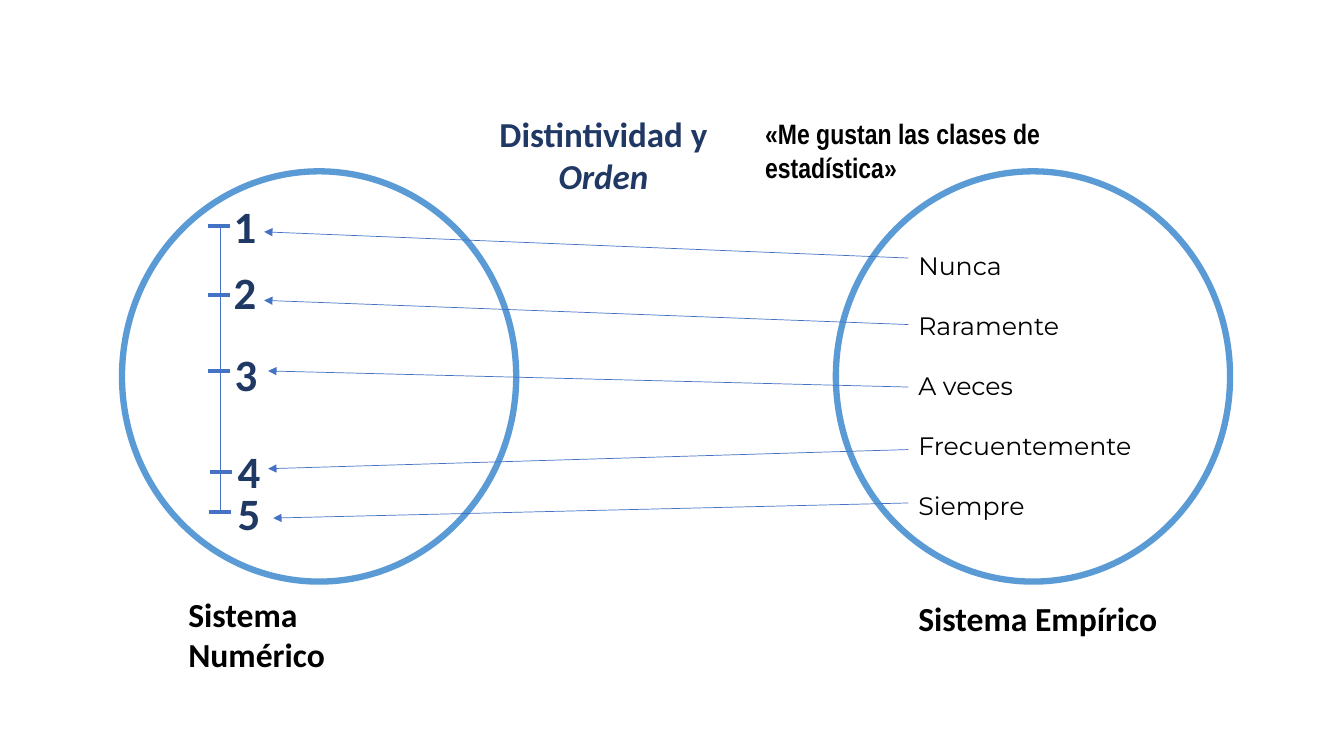
from collections import namedtuple
from dataclasses import dataclass

from lxml.etree import SubElement
from pptx import Presentation
from pptx.dml.color import RGBColor
from pptx.enum.shapes import MSO_CONNECTOR, MSO_SHAPE
from pptx.enum.text import MSO_AUTO_SIZE, PP_ALIGN
from pptx.oxml.ns import qn
from pptx.util import Inches, Pt

Box = namedtuple("Box", "left top width height")
# Offsets in inches from the corner of the numeric circle
Rank = namedtuple("Rank", "label digit_x digit_y tick_x tick_y tip_x tip_y start_y")


@dataclass(frozen=True)
class Theme:
    ring: RGBColor = RGBColor(0x5B, 0x9B, 0xD5)
    line: RGBColor = RGBColor(0x44, 0x72, 0xC4)
    navy: RGBColor = RGBColor(0x20, 0x38, 0x64)
    black: RGBColor = RGBColor(0, 0, 0)
    white: RGBColor = RGBColor(255, 255, 255)
    ring_width: float = 4.5
    tick_width: float = 3
    thin_width: float = 0.5


THEME = Theme()
CAPTION = dict(name="Calibri", size=Pt(24), bold=True, color=THEME.black)
DIGIT = dict(name="Calibri", size=Pt(32), bold=True, color=THEME.navy)
TITLE = dict(name="Calibri", size=Pt(25), bold=True, color=THEME.navy)
QUOTE = dict(name="Arial Narrow", size=Pt(20), bold=True, color=THEME.black)
ANSWER = dict(name="Montserrat", size=Pt(18), color=THEME.black)
ANSWER_GAP = 21.3
TICK_LENGTH = 0.22

NUMERIC = Box(1.21, 1.7, 3.91, 4.07)
EMPIRIC = NUMERIC._replace(left=8.29)
ANSWER_X = 0.72
RANKS = [
    Rank("Nunca", 1.01, 0.22, 0.85, 0.54, 1.41, 0.6, 0.86),
    Rank("Raramente", 1.01, 0.88, 0.85, 1.23, 1.41, 1.28, 1.52),
    Rank("A veces", 1.02, 1.69, 0.85, 1.98, 1.45, 1.98, 2.14),
    Rank("Frecuentemente", 1.05, 2.65, 0.87, 2.98, 1.45, 2.95, 2.76),
    Rank("Siempre", 1.05, 3.07, 0.86, 3.38, 1.5, 3.44, 3.29),
]


def add_text(page, box, lines, style, wrap=True, align=PP_ALIGN.LEFT, gap=0):
    """Place one paragraph per line and return the paragraphs."""
    frame = page.shapes.add_textbox(*map(Inches, box)).text_frame
    frame.word_wrap = wrap
    frame.auto_size = MSO_AUTO_SIZE.SHAPE_TO_FIT_TEXT
    for index, line in enumerate(lines):
        para = frame.add_paragraph() if index else frame.paragraphs[0]
        para.alignment = align
        if index and gap:
            para.space_before = Pt(gap)
        span = para.add_run()
        span.text = line
        for key, value in style.items():
            if key == "color":
                span.font.color.rgb = value
            else:
                setattr(span.font, key, value)
    return frame.paragraphs


def add_line(page, start, end, width, arrow=False):
    line = page.shapes.add_connector(
        MSO_CONNECTOR.STRAIGHT, *map(Inches, (*start, *end)))
    line.line.color.rgb = THEME.line
    line.line.width = Pt(width)
    if arrow:
        SubElement(line.line._get_or_add_ln(), qn("a:tailEnd"), type="triangle")
    SubElement(line._element.spPr, qn("a:effectLst"))


def add_circle(page, box):
    circle = page.shapes.add_shape(MSO_SHAPE.OVAL, *map(Inches, box))
    circle.shadow.inherit = False
    circle.fill.solid()
    circle.fill.fore_color.rgb = THEME.white
    circle.line.color.rgb = THEME.ring
    circle.line.width = Pt(THEME.ring_width)


def add_numeric_system(page, box):
    add_circle(page, box)
    add_text(page, Box(box.left + 0.56, box.top + 4.14, 2.7, 0.5),
             ["Sistema Numérico"], CAPTION, wrap=False)
    axis_x = box.left + 0.98
    add_line(page, (axis_x, box.top + RANKS[0].tick_y),
             (axis_x, box.top + RANKS[-1].tick_y), THEME.thin_width)
    for number, rank in enumerate(RANKS, 1):
        tick_x, tick_y = box.left + rank.tick_x, box.top + rank.tick_y
        add_line(page, (tick_x, tick_y), (tick_x + TICK_LENGTH, tick_y), THEME.tick_width)
        add_text(page, Box(box.left + rank.digit_x, box.top + rank.digit_y, 0.43, 0.64),
                 [str(number)], DIGIT, wrap=False)


def add_empiric_system(page, box):
    add_circle(page, box)
    left = box.left + ANSWER_X
    add_text(page, Box(left, box.top + 4.18, 2.67, 0.5),
             ["Sistema Empírico"], CAPTION, wrap=False)
    add_text(page, Box(left, box.top + 0.73, 2.67, 2.83),
             [rank.label for rank in RANKS], ANSWER, gap=ANSWER_GAP)


def add_mapping(page, source, target):
    """Join each answer to its number."""
    for rank in RANKS:
        add_line(page, (source.left + ANSWER_X, source.top + rank.start_y),
                 (target.left + rank.tip_x, target.top + rank.tip_y),
                 THEME.thin_width, arrow=True)


def add_heading(page, title_box, quote_box):
    title = add_text(page, title_box, ["Distintividad y", "Orden"], TITLE,
                     align=PP_ALIGN.CENTER)
    title[1].runs[0].font.italic = True
    add_text(page, quote_box, ["«Me gustan las clases de estadística»"], QUOTE)


def main():
    deck = Presentation()
    deck.slide_width, deck.slide_height = Inches(13.33), Inches(7.5)
    page = deck.slides.add_slide(deck.slide_layouts[6])
    add_numeric_system(page, NUMERIC)
    add_empiric_system(page, EMPIRIC)
    add_mapping(page, EMPIRIC, NUMERIC)
    add_heading(page, Box(4.55, 1.07, 2.87, 0.94), Box(7.49, 1.11, 3.91, 0.77))
    deck.save("out.pptx")


if __name__ == "__main__":
    main()
